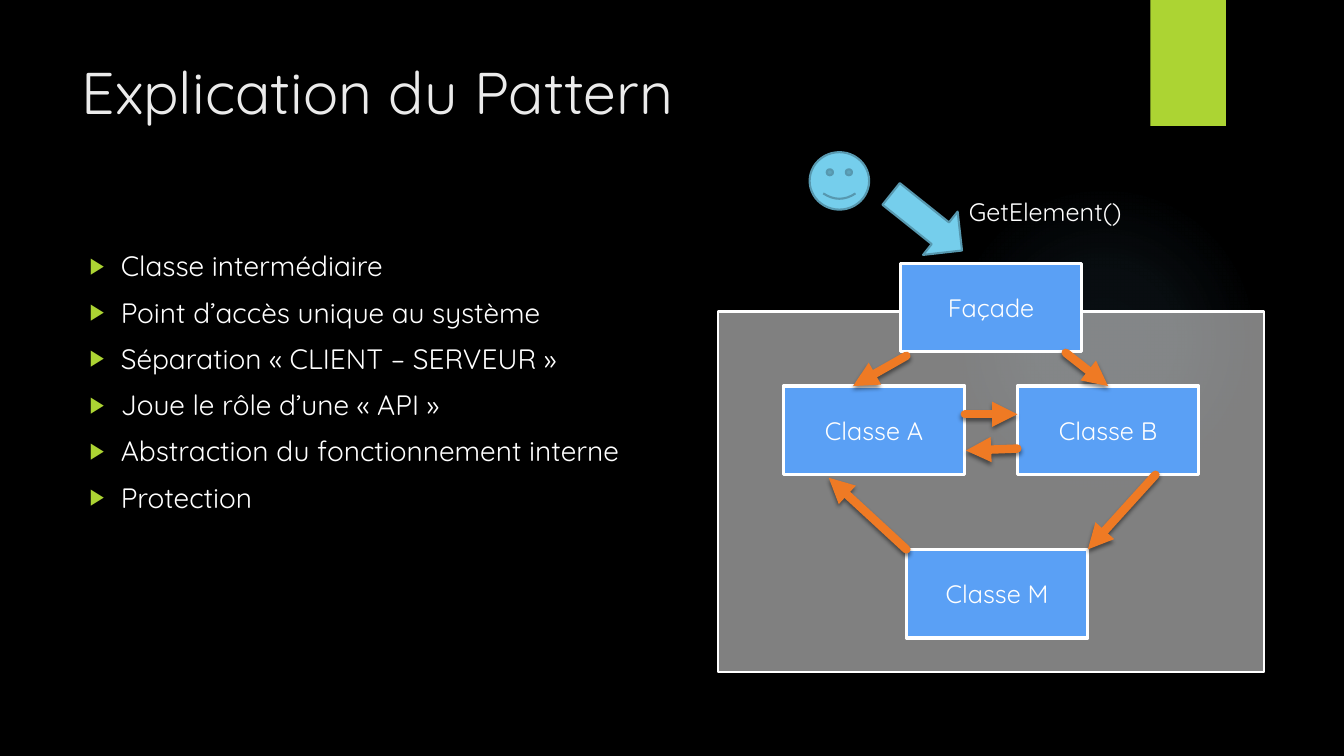
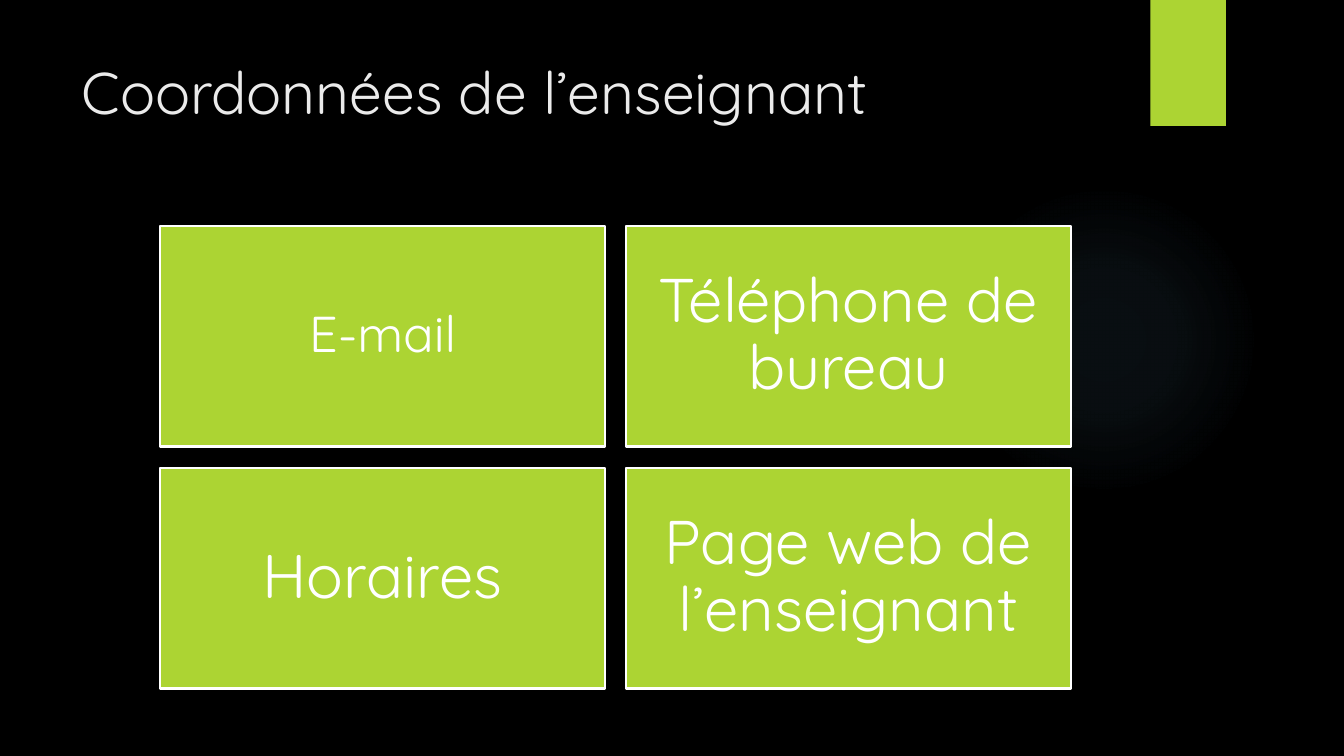
import pptx
import pptx.util
import pptx.dml.color
import pptx.enum.shapes
import pptx.enum.text
import pptx.oxml
import pptx.oxml.ns
import lxml.etree

Inches, Pt = pptx.util.Inches, pptx.util.Pt
SHAPE = pptx.enum.shapes.MSO_SHAPE
ALIGN = pptx.enum.text.PP_ALIGN
ANCHOR = pptx.enum.text.MSO_ANCHOR
qn = pptx.oxml.ns.qn

# Shared style
FONT = "Quicksand"
BLACK, WHITE, TITLE = "000000", "FFFFFF", "EBEBEB"
GREEN, BLUE, ORANGE = "ACD433", "5AA0F5", "EF7A24"
SKY, SKY_EDGE, GLOW = "75CEEC", "5798AF", "7AC4F0"
GLOW_STOPS = [(0, 7), (36, 6), (69, 0)]  # position and opacity, percent

# Content: facade slide
PATTERN_TITLE = "Explication du Pattern"
BULLETS = [
    "Classe intermédiaire",
    "Point d’accès unique au système",
    "Séparation « CLIENT – SERVEUR »",
    "Joue le rôle d’une « API »",
    "Abstraction du fonctionnement interne",
    "Protection",
]
CALL = "GetElement()"
CLASS_SIZE = (1.8, 0.88)
CLASSES = [  # name, left, top
    ("Façade", 8.93, 2.61),
    ("Classe A", 7.77, 3.83),
    ("Classe B", 10.09, 3.83),
    ("Classe M", 8.99, 5.45),
]
ARROWS = [  # start, end
    ((9.57, 4.11), (10.09, 4.11)),
    ((10.09, 4.45), (9.58, 4.47)),
    ((8.99, 3.53), (8.46, 3.83)),
    ((10.57, 3.5), (10.99, 3.83)),
    ((11.46, 4.71), (10.79, 5.45)),
    ((8.99, 5.45), (8.22, 4.74)),
]

# Content: contact slide
CONTACT_TITLE = "Coordonnées de l’enseignant"
TILES = [  # text, size, inset
    ("E-mail", 36, 0.15),
    ("Téléphone de bureau", 44, 0.18),
    ("Horaires", 44, 0.18),
    ("Page web de l’enseignant", 44, 0.18),
]
TILE_LEFT, TILE_TOP, TILE_WIDTH, TILE_HEIGHT = 1.59, 2.24, 4.41, 2.19
TILE_GAP, TILE_COLUMNS = 0.21, 2


def rgb(value):
    return pptx.dml.color.RGBColor.from_string(value)


def add_xml(parent, tag, **attributes):
    return lxml.etree.SubElement(
        parent, qn(tag), {name: str(value) for name, value in attributes.items()})


def add_color(parent, color, opacity):
    node = add_xml(parent, "a:srgbClr", val=color)
    add_xml(node, "a:alpha", val=opacity * 1000)


def write(frame, lines, size=18, color=WHITE, align=ALIGN.LEFT, anchor=ANCHOR.TOP,
          inset=None, line_spacing=None, before=None):
    frame.word_wrap = True
    frame.auto_size = pptx.enum.text.MSO_AUTO_SIZE.NONE
    frame.vertical_anchor = anchor
    if inset is not None:
        frame.margin_left = frame.margin_right = Inches(inset)
        frame.margin_top = frame.margin_bottom = Inches(inset)
    for index, line in enumerate(lines):
        para = frame.add_paragraph() if index else frame.paragraphs[0]
        para.alignment = align
        para.line_spacing = line_spacing
        if before is not None:
            para.space_before = Pt(before)
        span = para.add_run()
        span.text = line
        span.font.name = FONT
        span.font.size = Pt(size)
        span.font.color.rgb = rgb(color)


def add_bullets(frame, indent=0.81, hanging=0.31):
    for para in frame.paragraphs:
        props = para._p.get_or_add_pPr()
        props.set("marL", str(Inches(indent)))
        props.set("indent", str(-Inches(hanging)))
        add_xml(add_xml(props, "a:buClr"), "a:srgbClr", val=GREEN)
        add_xml(props, "a:buSzPct", val=80000)
        add_xml(props, "a:buFont", typeface="Arial")
        add_xml(props, "a:buChar", char="▶")


def add_box(page, kind, left, top, width, height, fill=None, line=None, weight=1.5):
    box = page.shapes.add_shape(
        kind, Inches(left), Inches(top), Inches(width), Inches(height))
    box.shadow.inherit = False
    if fill:
        box.fill.solid()
        box.fill.fore_color.rgb = rgb(fill)
    else:
        box.fill.background()
    if line:
        box.line.color.rgb = rgb(line)
        box.line.width = Pt(weight)
    else:
        box.line.fill.background()
    return box


def add_text(page, left, top, width, height, lines, **style):
    box = page.shapes.add_textbox(
        Inches(left), Inches(top), Inches(width), Inches(height))
    write(box.text_frame, lines, **style)
    return box


def add_shadow(effects):
    shadow = add_xml(effects, "a:outerShdw", blurRad=Pt(3), dist=Pt(2),
                     dir=90 * 60000, rotWithShape=0)
    add_color(shadow, BLACK, 45)


def add_arrow(page, start, end):
    arrow = page.shapes.add_connector(
        pptx.enum.shapes.MSO_CONNECTOR.STRAIGHT,
        *[Inches(value) for value in start + end])
    arrow.line.color.rgb = rgb(ORANGE)
    arrow.line.width = Pt(6)
    stroke = arrow.line._get_or_add_ln()
    stroke.set("cap", "rnd")
    add_xml(stroke, "a:tailEnd", type="triangle")
    add_shadow(add_xml(arrow._element.spPr, "a:effectLst"))


def add_glow(page):
    glow = add_box(page, SHAPE.OVAL, 9.41, 1.83, 3.08, 3.08)
    props = glow._element.spPr
    gradient = pptx.oxml.parse_xml(
        "<a:gradFill %s rotWithShape='1'/>" % pptx.oxml.ns.nsdecls("a"))
    stops = add_xml(gradient, "a:gsLst")
    for position, opacity in GLOW_STOPS:
        add_color(add_xml(stops, "a:gs", pos=position * 1000), GLOW, opacity)
    center = add_xml(gradient, "a:path", path="circle")
    add_xml(center, "a:fillToRect", l=50000, t=50000, r=50000, b=50000)
    props.replace(props.find(qn("a:noFill")), gradient)


def add_page(deck, title):
    page = deck.slides.add_slide(deck.slide_layouts[5])
    page.background.fill.solid()
    page.background.fill.fore_color.rgb = rgb(BLACK)
    add_glow(page)
    tab = add_box(page, SHAPE.RECTANGLE, 11.41, 0, 0.75, 1.25, fill=GREEN)
    add_shadow(tab._element.spPr.find(qn("a:effectLst")))
    heading = page.shapes.title
    heading.left, heading.top = Inches(0.71), Inches(0.5)
    heading.width, heading.height = Inches(10.29), Inches(1.53)
    write(heading.text_frame, [title], size=42, color=TITLE)
    return page


def build_pattern(deck):
    page = add_page(deck, PATTERN_TITLE)
    # Half-transparent system area
    system = add_box(page, SHAPE.RECTANGLE, 7.12, 3.09, 5.42, 3.58, WHITE, WHITE)
    color = system._element.spPr.find(qn("a:solidFill")).find(qn("a:srgbClr"))
    add_xml(color, "a:alpha", val=50000)
    # Bullet list
    body = add_text(page, 0.29, 2.42, 6.7, 4.59, BULLETS, size=20, before=9)
    add_bullets(body.text_frame)
    # Client and its call
    add_box(page, SHAPE.SMILEY_FACE, 8.03, 1.51, 0.59, 0.57, SKY, SKY_EDGE)
    call = add_box(page, SHAPE.RIGHT_ARROW, 8.74, 1.93, 0.9, 0.55, SKY, SKY_EDGE)
    call.rotation = 38.6
    add_text(page, 9.51, 1.9, 2.19, 0.4, [CALL])
    # Classes and their links
    for name, left, top in CLASSES:
        box = add_box(page, SHAPE.RECTANGLE, left, top, *CLASS_SIZE,
                      fill=BLUE, line=WHITE, weight=2.25)
        write(box.text_frame, [name], align=ALIGN.CENTER, anchor=ANCHOR.MIDDLE)
    for start, end in ARROWS:
        add_arrow(page, start, end)


def build_contact(deck):
    page = add_page(deck, CONTACT_TITLE)
    for index, (text, size, inset) in enumerate(TILES):
        row, column = divmod(index, TILE_COLUMNS)
        tile = add_box(page, SHAPE.RECTANGLE,
                       TILE_LEFT + column * (TILE_WIDTH + TILE_GAP),
                       TILE_TOP + row * (TILE_HEIGHT + TILE_GAP),
                       TILE_WIDTH, TILE_HEIGHT, GREEN, WHITE)
        write(tile.text_frame, [text], size=size, inset=inset, line_spacing=0.9,
              align=ALIGN.CENTER, anchor=ANCHOR.MIDDLE)


def main():
    deck = pptx.Presentation()
    deck.slide_width, deck.slide_height = Inches(13.33), Inches(7.5)
    build_pattern(deck)
    build_contact(deck)
    deck.save("out.pptx")


if __name__ == "__main__":
    main()
